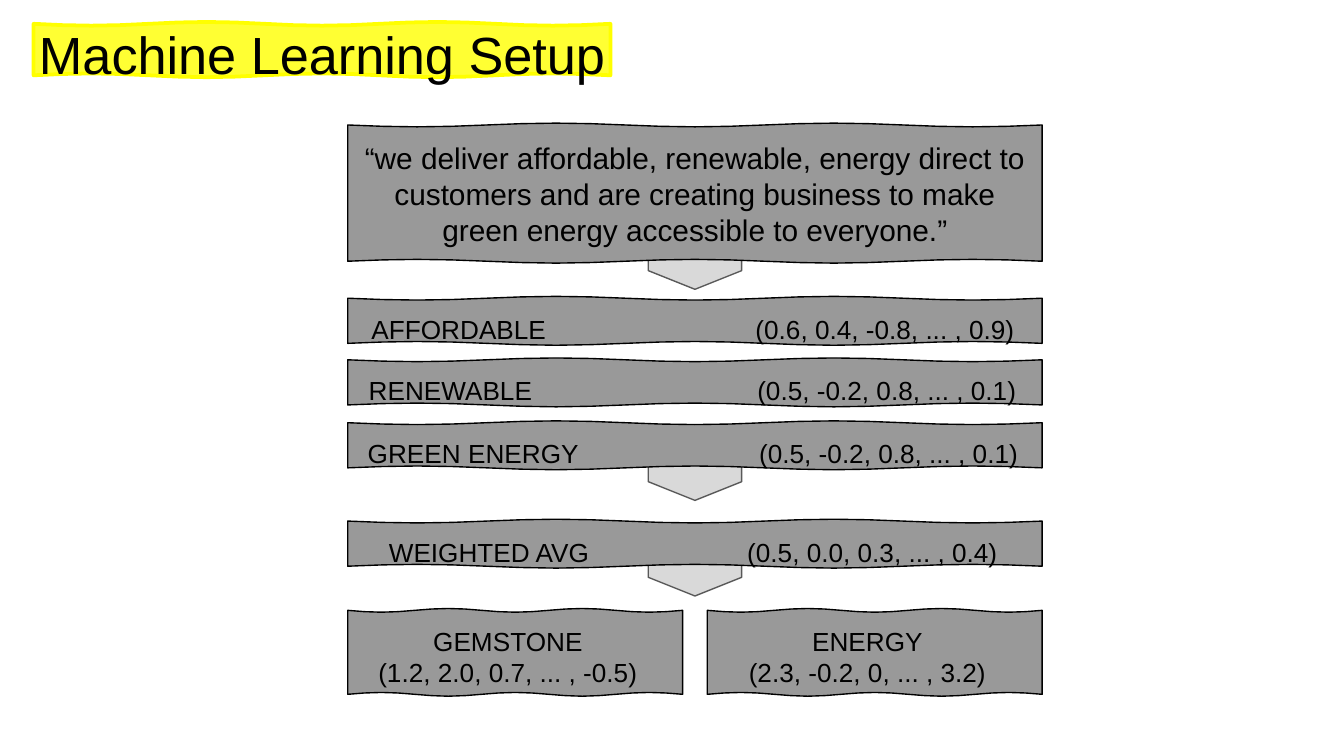
from math import pi, sin

from lxml.etree import SubElement
from pptx import Presentation
from pptx.dml.color import RGBColor
from pptx.enum.shapes import MSO_SHAPE
from pptx.enum.text import MSO_ANCHOR, PP_ALIGN
from pptx.oxml.ns import qn
from pptx.util import Pt

COLORS = {
    "text": "000000",
    "highlight": "FFFF00",
    "box": "999999",
    "arrow": "D9D9D9",
    "arrow_line": "595959",
}
WOBBLE, WAVES, STEPS = 1, 2.5, 20
LEFT, WIDTH, ROW_HEIGHT = 186.3, 372, 24.2
CENTER = LEFT + WIDTH / 2

presentation = Presentation()
presentation.slide_width, presentation.slide_height = Pt(720), Pt(405)
slide = presentation.slides.add_slide(presentation.slide_layouts[5])


def add_sketch_box(left, top, width, height, fill="box", line="text", line_width=0.75):
    """Draw a box whose top and bottom edges are wavy."""
    upper, lower = [], []
    for step in range(STEPS + 1):
        x = left + width * step / STEPS
        wave = WOBBLE * sin(2 * pi * WAVES * step / STEPS)
        upper.append((Pt(x), Pt(top + wave)))
        lower.append((Pt(x), Pt(top + height - wave)))
    builder = slide.shapes.build_freeform(*upper[0])
    builder.add_line_segments(upper[1:] + lower[::-1], close=True)
    shape = builder.convert_to_shape()
    shape.shadow.inherit = False
    shape.fill.solid()
    shape.fill.fore_color.rgb = RGBColor.from_string(COLORS[fill])
    shape.line.color.rgb = RGBColor.from_string(COLORS[line])
    shape.line.width = Pt(line_width)
    return shape


def write(shape, lines, size=14, align=PP_ALIGN.CENTER, left=7.2, top=9):
    frame = shape.text_frame
    frame.word_wrap = True
    frame.vertical_anchor = MSO_ANCHOR.TOP
    frame.margin_left, frame.margin_top = Pt(left), Pt(top)
    frame.margin_right, frame.margin_bottom = Pt(7.2), 0
    frame.text = "\n".join(lines)
    for paragraph in frame.paragraphs:
        paragraph.alignment = align
        font = paragraph.font
        font.name, font.size = "Arial", Pt(size)
        font.color.rgb = RGBColor.from_string(COLORS["text"])
    return frame.paragraphs


# Title over a translucent highlighter stroke
highlight = add_sketch_box(18, 12.8, 309, 27.6, "highlight", "highlight", 2)
color = highlight.element.spPr.find(qn("a:solidFill"))[0]
SubElement(color, qn("a:alpha"), val="80000")
title = slide.shapes.title
title.left, title.top, title.width, title.height = Pt(13.7), Pt(0.7), Pt(671), Pt(45.4)
write(title, ["Machine Learning Setup"], size=28, align=PP_ALIGN.LEFT, top=11)
title.element.getparent().append(title.element)

# Arrows, tucked behind the boxes
for center_y in (258.1, 145, 309.3):
    arrow = slide.shapes.add_shape(
        MSO_SHAPE.PENTAGON, Pt(CENTER - 10), Pt(center_y - 25), Pt(20), Pt(50))
    arrow.rotation = 90
    arrow.shadow.inherit = False
    arrow.fill.solid()
    arrow.fill.fore_color.rgb = RGBColor.from_string(COLORS["arrow"])
    arrow.line.color.rgb = RGBColor.from_string(COLORS["arrow_line"])
    arrow.line.width = Pt(0.75)

# Company statement
statement = add_sketch_box(LEFT, 67, WIDTH, 73)
write(statement, [
    "“we deliver affordable, renewable, energy direct to customers and are "
    "creating business to make green energy accessible to everyone.”"], size=16)

# Keyword vectors: label, vector, top, label start, vector start
rows = [
    ("AFFORDABLE", "(0.6, 0.4, -0.8, ... , 0.9)", 159.8, 199, 404.7),
    ("RENEWABLE", "(0.5, -0.2, 0.8, ... , 0.1)", 192.8, 197.5, 405.7),
    ("GREEN ENERGY", "(0.5, -0.2, 0.8, ... , 0.1)", 226.5, 197, 406.7),
    ("WEIGHTED AVG", "(0.5, 0.0, 0.3, ... , 0.4)", 279.2, 208.3, 400.3),
]
for label, vector, top, label_x, vector_x in rows:
    row = add_sketch_box(LEFT, top, WIDTH, ROW_HEIGHT)
    paragraph = write(row, [f"{label}\t{vector}"], align=PP_ALIGN.LEFT, left=label_x - LEFT)[0]
    properties = paragraph._p.get_or_add_pPr()
    tabs = SubElement(properties, qn("a:tabLst"))
    SubElement(tabs, qn("a:tab"), pos=str(Pt(vector_x - label_x)), algn="l")
    properties.insert(0, tabs)

# Category vectors
categories = [
    ("GEMSTONE", "(1.2, 2.0, 0.7, ... , -0.5)", LEFT),
    ("ENERGY", "(2.3, -0.2, 0, ... , 3.2)", 378.9),
]
for name, vector, left in categories:
    category = add_sketch_box(left, 327, 179.4, 45)
    heading = write(category, [name, vector])[0]
    heading._p.get_or_add_pPr().set("marR", str(Pt(7.8)))

presentation.save("out.pptx")
